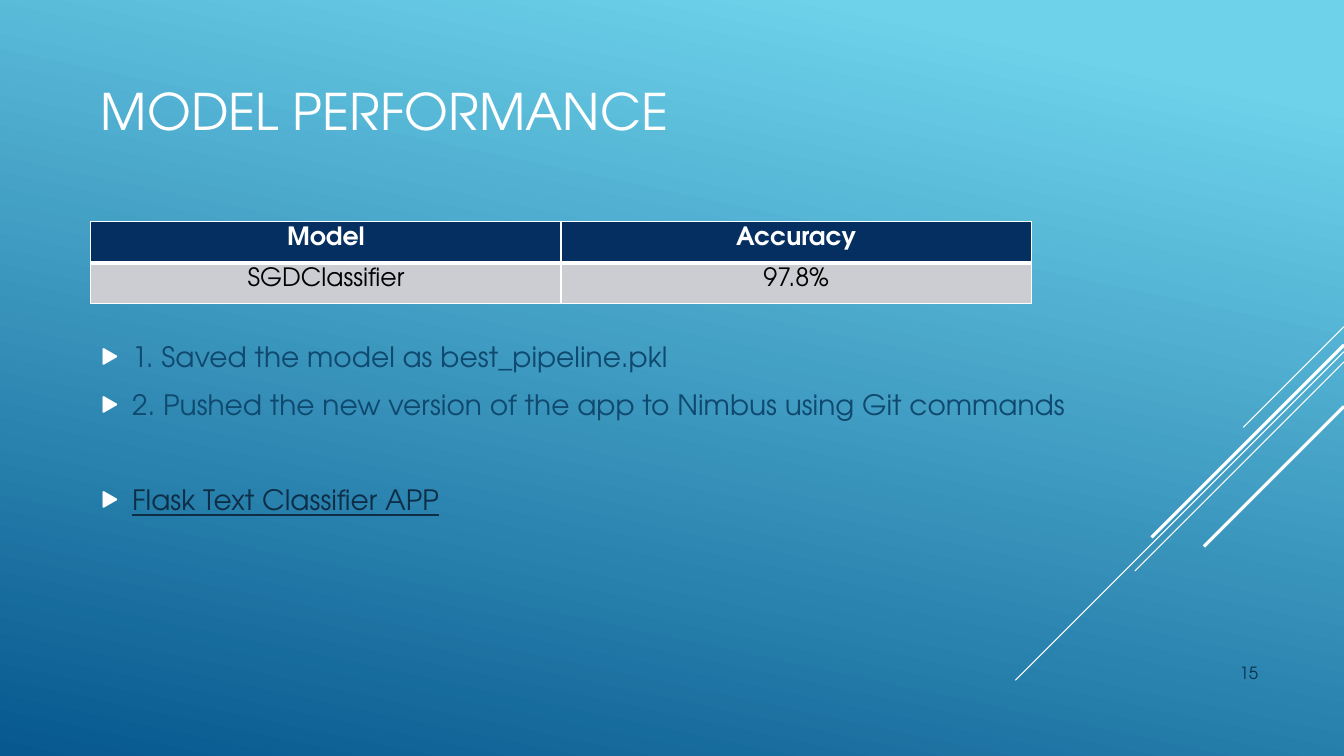
from lxml import etree
from pptx import Presentation
from pptx.dml.color import RGBColor
from pptx.enum.shapes import MSO_CONNECTOR
from pptx.enum.text import MSO_ANCHOR, PP_ALIGN
from pptx.oxml.ns import qn
from pptx.util import Cm, Pt

STRAIGHT = MSO_CONNECTOR.STRAIGHT
MIDDLE, BOTTOM = MSO_ANCHOR.MIDDLE, MSO_ANCHOR.BOTTOM
LEFT, CENTER, RIGHT = PP_ALIGN.LEFT, PP_ALIGN.CENTER, PP_ALIGN.RIGHT
SLIDE_WIDTH, SLIDE_HEIGHT = 33.87, 19.05
TITLE_ONLY = 5
COLORS = {
    "sky": "6ED2EB",
    "deep": "06588E",
    "white": "FFFFFF",
    "black": "000000",
    "header": "052F61",
    "row": "CCCDD2",
    "body": "0F496F",
    "link": "0D2E46",
    "number": "0A304A",
}


class SlideBuilder:
    font = "TeX Gyre Adventor"

    def __init__(self, slide):
        self.slide = slide

    def color(self, name):
        return RGBColor.from_string(COLORS[name])

    def style(self, para, size, color, align=LEFT, bold=False, underline=False):
        para.alignment = align
        for span in para.runs:
            span.font.name = self.font
            span.font.size = Pt(size)
            span.font.bold = bold
            span.font.underline = underline
            span.font.color.rgb = self.color(color)

    def background(self, start, end, angle):
        fill = self.slide.background.fill
        fill.gradient()
        fill.gradient_angle = 360 - angle
        for stop, (position, color) in zip(fill.gradient_stops, (start, end)):
            stop.position = position
            stop.color.rgb = self.color(color)

    def diagonal(self, top, length, width):
        line = self.slide.shapes.add_connector(
            STRAIGHT, Cm(SLIDE_WIDTH), Cm(top), Cm(SLIDE_WIDTH - length), Cm(top + length)
        )
        line.line.color.rgb = self.color("white")
        line.line.width = Pt(width)
        etree.SubElement(line._element.spPr, qn("a:effectLst"))

    def title(self, text, left, top, width, height):
        box = self.slide.shapes.title
        box.left, box.top, box.width, box.height = Cm(left), Cm(top), Cm(width), Cm(height)
        box.text_frame.text = text
        box.text_frame.vertical_anchor = MIDDLE
        self.style(box.text_frame.paragraphs[0], 36, "white")

    def textbox(self, text, left, top, width, height, anchor):
        box = self.slide.shapes.add_textbox(Cm(left), Cm(top), Cm(width), Cm(height))
        frame = box.text_frame
        frame.word_wrap = True
        frame.vertical_anchor = anchor
        frame.text = text
        return frame

    def bullet(self, para):
        properties = para._p.get_or_add_pPr()
        properties.set("marL", str(Cm(0.79)))
        properties.set("indent", str(-Cm(0.79)))
        tint = etree.SubElement(properties, qn("a:buClr"))
        etree.SubElement(tint, qn("a:srgbClr"), val=COLORS["white"])
        etree.SubElement(properties, qn("a:buSzPct"), val="80000")
        etree.SubElement(properties, qn("a:buFont"), typeface=self.font)
        etree.SubElement(properties, qn("a:buChar"), char="▶")

    def bullets(self, items, left, top, width, height):
        frame = self.textbox("\n".join(text for text, *_ in items), left, top, width, height, MIDDLE)
        for para, (_, color, underline, before) in zip(frame.paragraphs, items):
            self.style(para, 20, color, underline=underline)
            para.space_before = Pt(before)
            para.space_after = Pt(6)
            self.bullet(para)

    def border(self, cell, side, width):
        line = etree.SubElement(cell._tc.get_or_add_tcPr(), qn(f"a:ln{side}"), w=str(Pt(width)))
        fill = etree.SubElement(line, qn("a:solidFill"))
        etree.SubElement(fill, qn("a:srgbClr"), val=COLORS["white"])

    def table(self, rows, left, top, width, row_height):
        table = self.slide.shapes.add_table(
            len(rows), len(rows[0]), Cm(left), Cm(top), Cm(width), Cm(row_height * len(rows))
        ).table
        for row_index, row in enumerate(rows):
            header = row_index == 0
            for column_index, text in enumerate(row):
                cell = table.cell(row_index, column_index)
                cell.margin_top, cell.margin_bottom = Cm(0.13), 0
                cell.text_frame.text = text
                self.style(cell.text_frame.paragraphs[0], 18, "white" if header else "black", CENTER, header)
                if column_index == 0:
                    self.border(cell, "L", 1)
                self.border(cell, "R", 1)
                if header:
                    self.border(cell, "T", 1)
                self.border(cell, "B", 3 if header else 1)
                cell.fill.solid()
                cell.fill.fore_color.rgb = self.color("header" if header else "row")

    def page_number(self, text, left, top, width, height):
        frame = self.textbox(text, left, top, width, height, BOTTOM)
        self.style(frame.paragraphs[0], 12, "number", RIGHT)


def main():
    deck = Presentation()
    deck.slide_width, deck.slide_height = Cm(SLIDE_WIDTH), Cm(SLIDE_HEIGHT)
    page = SlideBuilder(deck.slides.add_slide(deck.slide_layouts[TITLE_ONLY]))

    page.background((0.1, "sky"), (1, "deep"), 102)
    for top, length, width in (
        (8.23, 2.54, 0.75),
        (8.86, 8.28, 0.75),
        (9.12, 5.27, 0.75),
        (8.69, 4.85, 2.25),
        (10.24, 3.53, 2.25),
    ):
        page.diagonal(top, length, width)

    page.title("MODEL PERFORMANCE", 2.29, 0.69, 23.7, 4.19)
    page.table([("Model", "Accuracy"), ("SGDClassifier", "97.8%")], 2.29, 5.59, 23.7, 1.03)
    page.bullets(
        [
            ("1. Saved the model as best_pipeline.pkl", "body", False, 4),
            ("2. Pushed the new version of the app to Nimbus using Git commands", "body", False, 4),
            ("Flask Text Classifier APP", "link", True, 38),
        ],
        2.29, 6.88, 25.45, 7.82,
    )
    page.page_number("15", 28.78, 15.49, 3.18, 1.85)
    deck.save("out.pptx")


if __name__ == "__main__":
    main()
